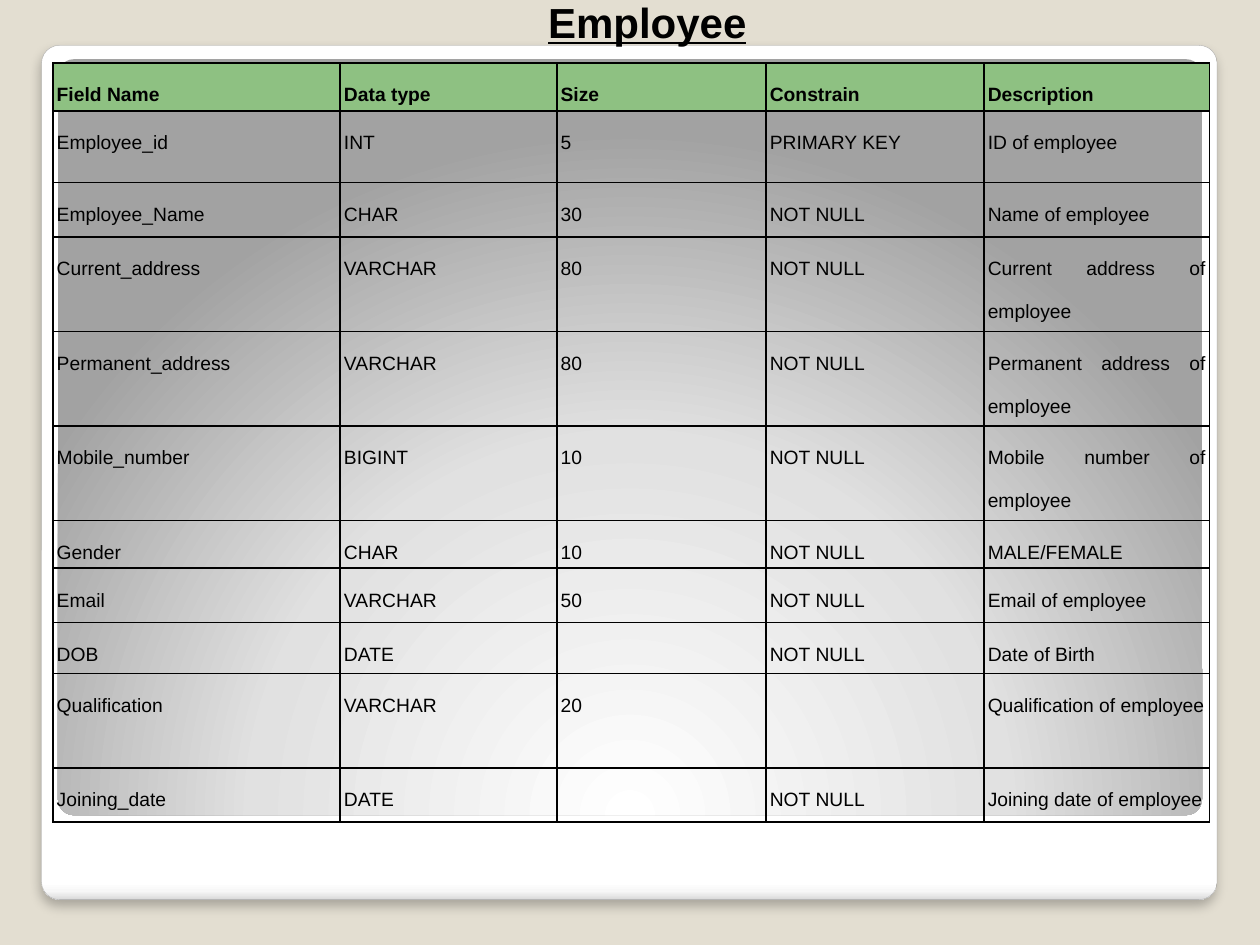
"""Build the slide that lists the fields of the Employee table."""
from dataclasses import dataclass

from pptx import Presentation
from pptx import oxml, util as u
from pptx.dml.color import RGBColor
from pptx.enum import shapes, text
from pptx.oxml import ns

SAND = RGBColor(0xE3, 0xDE, 0xD1)
GREEN = RGBColor(0x8E, 0xC1, 0x82)
GREY = RGBColor(0xA4, 0xA4, 0xA4)
BLACK = RGBColor(0, 0, 0)

TITLE_FONT = {"name": "Arial", "size": u.Pt(24), "bold": True, "underline": True}
HEAD_FONT = {"name": "Arial", "size": u.Pt(11), "bold": True}
BODY_FONT = {**HEAD_FONT, "bold": False}
NO_INSETS = {"margin_left": u.Inches(0.03), "margin_right": u.Inches(0.03),
             "margin_top": 0, "margin_bottom": 0}
TITLE_FRAME = {"word_wrap": False, "vertical_anchor": text.MSO_ANCHOR.MIDDLE,
               "margin_left": u.Inches(0.1), "margin_right": u.Inches(0.1),
               "margin_top": u.Inches(0.05), "margin_bottom": u.Inches(0.05)}
TITLE_PLACE = {"left": u.Inches(4.25), "top": u.Inches(-0.08),
               "width": u.Inches(1.79), "height": u.Inches(0.5)}
PLAIN_TABLE = {"first_row": False, "horz_banding": False}

COLUMNS = [2.28, 1.72, 1.66, 1.73, 1.79]
LINEAR = '<a:lin ang="5400000" scaled="0"/>'
RADIAL = ('<a:path path="circle"><a:fillToRect l="50000" t="175000" '
          'r="50000" b="-75000"/></a:path>')
SHADOW = ('<a:outerShdw blurRad="76200" dist="50800" dir="5400000" algn="t" '
          'rotWithShape="0"><a:srgbClr val="000000"><a:alpha val="25000"/>'
          '</a:srgbClr></a:outerShdw>')


@dataclass
class Panel:
    left: float
    top: float
    width: float
    height: float
    stops: list[tuple[int, str]]
    direction: str
    raised: bool


@dataclass
class Field:
    height: float
    name: str
    kind: str
    size: str
    constraint: str
    description: str

    def values(self) -> list[str]:
        return [self.name, self.kind, self.size, self.constraint, self.description]


PANELS = [
    Panel(0.33, 0.36, 9.33, 6.78,
          [(0, "FFFFFF"), (98, "FFFFFF"), (99, "F7F7F7"), (100, "DADADA")], LINEAR, True),
    Panel(0.46, 0.47, 9.08, 6,
          [(0, "FFFFFF"), (55, "E1E1E1"), (100, "A2A2A2")], RADIAL, False),
]
FIELDS = [
    Field(0.38, "Field Name", "Data type", "Size", "Constrain", "Description"),
    Field(0.57, "Employee_id", "INT", "5", "PRIMARY KEY", "ID of employee"),
    Field(0.43, "Employee_Name", "CHAR", "30", "NOT NULL", "Name of employee"),
    Field(0.75, "Current_address", "VARCHAR", "80", "NOT NULL", "Current address of employee"),
    Field(0.75, "Permanent_address", "VARCHAR", "80", "NOT NULL", "Permanent address of employee"),
    Field(0.75, "Mobile_number", "BIGINT", "10", "NOT NULL", "Mobile number of employee"),
    Field(0.38, "Gender", "CHAR", "10", "NOT NULL", "MALE/FEMALE"),
    Field(0.43, "Email", "VARCHAR", "50", "NOT NULL", "Email of employee"),
    Field(0.38, "DOB", "DATE", "", "NOT NULL", "Date of Birth"),
    Field(0.75, "Qualification", "VARCHAR", "20", "", "Qualification of employee"),
    Field(0.43, "Joining_date", "DATE", "", "NOT NULL", "Joining date of employee"),
    Field(0.43, "", "", "", "", ""),
]


def apply(target: object, values: dict) -> None:
    for name, value in values.items():
        setattr(target, name, value)


def element(tag: str, attributes: str, inner: str):
    return oxml.parse_xml(f'<a:{tag} {ns.nsdecls("a")} {attributes}>{inner}</a:{tag}>')


def write(para, words: str, font: dict) -> None:
    para.alignment = text.PP_ALIGN.JUSTIFY
    span = para.add_run()
    span.text = words
    apply(span.font, font)
    span.font.color.rgb = BLACK


def draw_panel(page, panel: Panel):
    place = map(u.Inches, (panel.left, panel.top, panel.width, panel.height))
    shape = page.shapes.add_shape(shapes.MSO_SHAPE.ROUNDED_RECTANGLE, *place)
    shape.adjustments[0] = 0.021
    shape.shadow.inherit = False
    shape.fill.gradient()
    stops = "".join(f'<a:gs pos="{position * 1000}"><a:srgbClr val="{colour}"/></a:gs>'
                    for position, colour in panel.stops)
    properties = shape.element.spPr
    properties.replace(
        properties.find(ns.qn("a:gradFill")),
        element("gradFill", 'rotWithShape="1"', f"<a:gsLst>{stops}</a:gsLst>{panel.direction}"))
    if panel.raised:
        shape.line.color.rgb = GREY
        shape.line.width = u.Pt(0.16)
        properties.replace(properties.find(ns.qn("a:effectLst")),
                           element("effectLst", "", SHADOW))
    else:
        shape.line.fill.background()
    return shape


def draw_borders(cell, sides: str) -> None:
    properties = cell._tc.get_or_add_tcPr()
    for side in "LRTB":
        fill = '<a:solidFill><a:srgbClr val="000000"/></a:solidFill>' if side in sides else "<a:noFill/>"
        properties.append(element(f"ln{side}", 'w="12700"', fill))


def fill_cell(cell, words: str, is_head: bool, sides: str) -> None:
    draw_borders(cell, sides)
    if is_head:
        cell.fill.solid()
        cell.fill.fore_color.rgb = GREEN
    else:
        cell.fill.background()
    if words:
        apply(cell, NO_INSETS)
        para = cell.text_frame.paragraphs[0]
        para.line_spacing = 2.0
        write(para, words, HEAD_FONT if is_head else BODY_FONT)


def draw_table(page) -> None:
    frame = page.shapes.add_table(len(FIELDS), len(COLUMNS), u.Inches(0.42), u.Inches(0.5),
                                  u.Inches(9.17), u.Inches(6.42))
    table = frame.table
    apply(table, PLAIN_TABLE)
    for column, width in zip(table.columns, COLUMNS):
        column.width = u.Inches(width)
    last = len(FIELDS) - 1
    for index, (row, field) in enumerate(zip(table.rows, FIELDS)):
        row.height = u.Inches(field.height)
        for cell, words in zip(row.cells, field.values()):
            fill_cell(cell, words, index == 0, "T" if index == last else "LRTB")
    table.cell(last, 0).merge(table.cell(last, len(COLUMNS) - 1))


def main() -> None:
    deck = Presentation()
    deck.slide_width, deck.slide_height = u.Inches(10), u.Inches(7.5)
    page = deck.slides.add_slide(deck.slide_layouts[5])
    page.background.fill.solid()
    page.background.fill.fore_color.rgb = SAND
    title = page.shapes.title
    apply(title, TITLE_PLACE)
    apply(title.text_frame, TITLE_FRAME)
    write(title.text_frame.paragraphs[0], "Employee", TITLE_FONT)
    for panel in PANELS:
        title.element.addprevious(draw_panel(page, panel).element)
    draw_table(page)
    deck.save("out.pptx")


if __name__ == "__main__":
    main()
